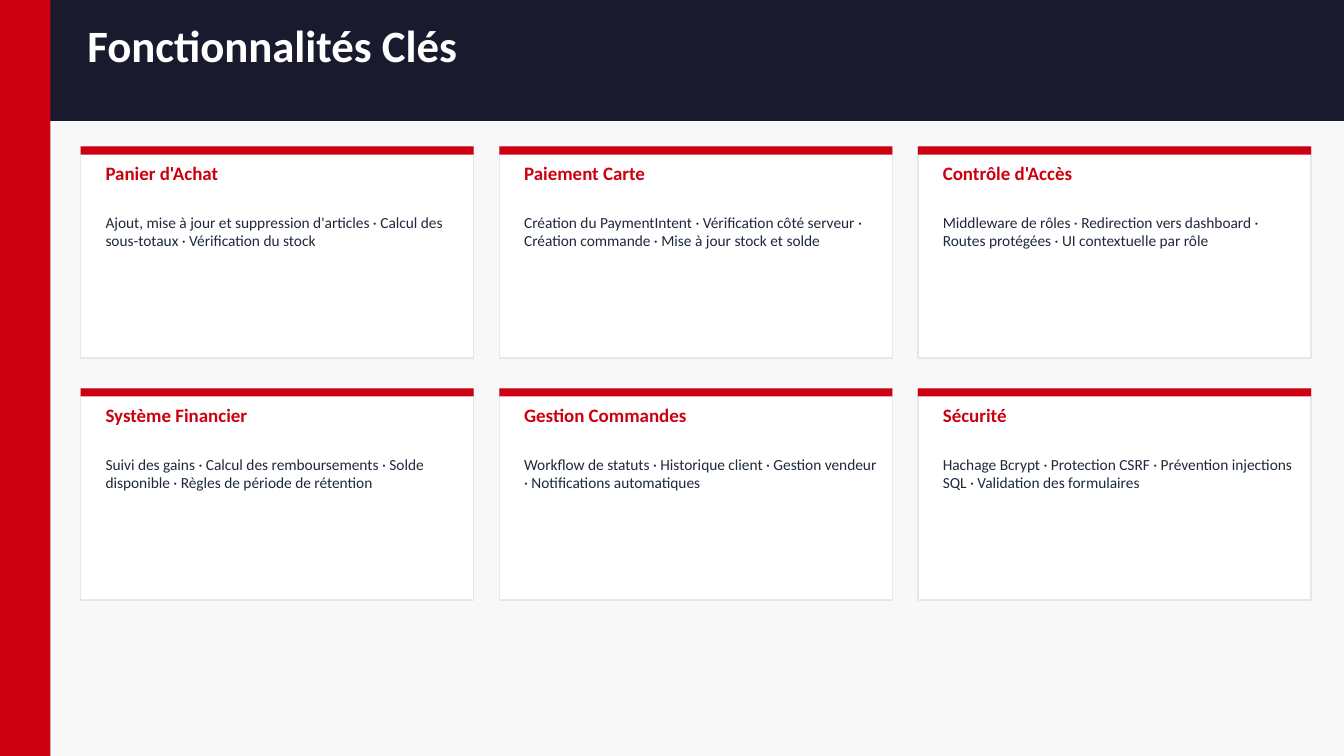
import pptx
import pptx.util
import pptx.dml.color
import pptx.enum.shapes
import pptx.enum.text

RED, NAVY, WHITE, SLATE = "CC0011", "1A1A2E", "FFFFFF", "1E293B"
inches = pptx.util.Inches

features = [
    ("Panier d'Achat",
     "Ajout, mise à jour et suppression d'articles · Calcul des sous-totaux · Vérification du stock"),
    ("Paiement Carte",
     "Création du PaymentIntent · Vérification côté serveur · Création commande · Mise à jour stock et solde"),
    ("Contrôle d'Accès",
     "Middleware de rôles · Redirection vers dashboard · Routes protégées · UI contextuelle par rôle"),
    ("Système Financier",
     "Suivi des gains · Calcul des remboursements · Solde disponible · Règles de période de rétention"),
    ("Gestion Commandes",
     "Workflow de statuts · Historique client · Gestion vendeur · Notifications automatiques"),
    ("Sécurité",
     "Hachage Bcrypt · Protection CSRF · Prévention injections SQL · Validation des formulaires"),
]

deck = pptx.Presentation()
deck.slide_width, deck.slide_height = inches(20), inches(11.25)
slide = deck.slides.add_slide(deck.slide_layouts[5])


def add_panel(left, top, width, height, fill, border=None):
    panel = slide.shapes.add_shape(
        pptx.enum.shapes.MSO_SHAPE.RECTANGLE, left, top, width, height)
    panel.shadow.inherit = False
    panel.fill.solid()
    panel.fill.fore_color.rgb = pptx.dml.color.RGBColor.from_string(fill)
    if border:
        panel.line.color.rgb = pptx.dml.color.RGBColor.from_string(border)
        panel.line.width = pptx.util.Pt(1.5)
    else:
        panel.line.fill.background()


def write(holder, text, size, color, bold=False):
    """Put one left-aligned paragraph at the top of a margin-free box."""
    frame = holder.text_frame
    frame.margin_left = frame.margin_right = frame.margin_top = frame.margin_bottom = 0
    frame.word_wrap = True
    frame.auto_size = pptx.enum.text.MSO_AUTO_SIZE.NONE
    frame.vertical_anchor = pptx.enum.text.MSO_ANCHOR.TOP
    frame.text = text
    paragraph = frame.paragraphs[0]
    paragraph.alignment = pptx.enum.text.PP_ALIGN.LEFT
    paragraph.line_spacing = pptx.util.Pt(round(size * 1.2, 1))
    paragraph.font.name = "Calibri"
    paragraph.font.size = pptx.util.Pt(size)
    paragraph.font.bold = bold
    paragraph.font.color.rgb = pptx.dml.color.RGBColor.from_string(color)


# Backdrop, header band and side stripe
slide.background.fill.solid()
slide.background.fill.fore_color.rgb = pptx.dml.color.RGBColor.from_string("F8F8F8")
add_panel(0, 0, deck.slide_width, inches(1.8), NAVY)
add_panel(0, 0, inches(0.75), deck.slide_height, RED)

# The title goes in front of the header band
title = slide.shapes.title
slide.shapes.element.append(title.element)
title.left, title.top = inches(1.3), inches(0.26)
title.width, title.height = inches(14.81), inches(1.34)
write(title, "Fonctionnalités Clés", 48, WHITE, bold=True)

# Feature cards: three columns, two rows
columns = 3
grid_left, grid_top = inches(1.2), inches(2.18)
column_step, row_step = inches(6.23), inches(3.6)
card_width, card_height = inches(5.85), inches(3.15)
text_inset, text_width = inches(0.37), inches(5.28)

for index, (heading, details) in enumerate(features):
    row, column = divmod(index, columns)
    left = grid_left + column * column_step
    top = grid_top + row * row_step
    add_panel(left, top, card_width, card_height, WHITE, border="E2E8F0")
    add_panel(left, top, card_width, inches(0.12), RED)
    heading_box = slide.shapes.add_textbox(
        left + text_inset, top + inches(0.23), text_width, inches(0.69))
    write(heading_box, heading, 20.3, RED, bold=True)
    details_box = slide.shapes.add_textbox(
        left + text_inset, top + inches(0.99), text_width, inches(1.96))
    write(details_box, details, 16.5, SLATE)

deck.save("out.pptx")
